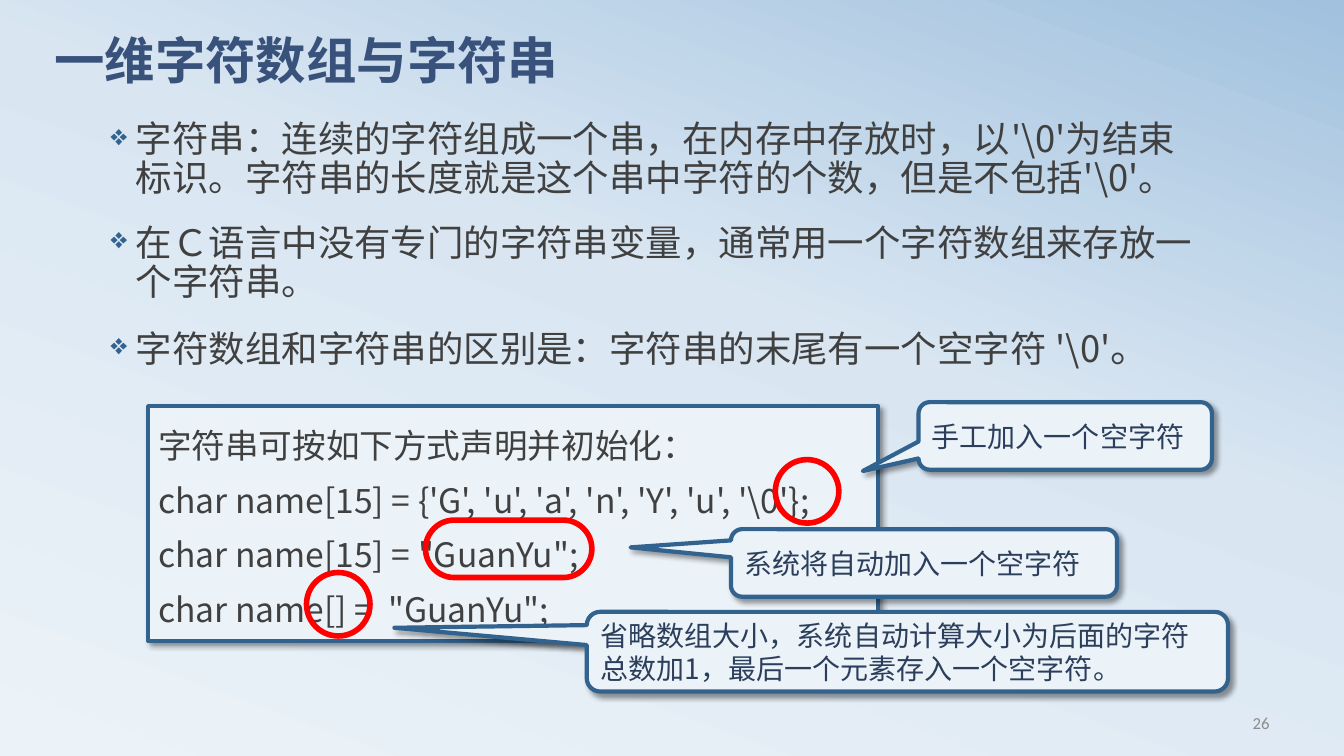
from lxml import etree
from pptx import Presentation
from pptx.dml.color import RGBColor
from pptx.enum.shapes import MSO_SHAPE
from pptx.enum.text import MSO_ANCHOR, PP_ALIGN
from pptx.oxml import parse_xml
from pptx.oxml.ns import nsdecls, qn
from pptx.util import Inches, Pt

RECTANGLE, OVAL = MSO_SHAPE.RECTANGLE, MSO_SHAPE.OVAL
ROUNDED, CALLOUT = MSO_SHAPE.ROUNDED_RECTANGLE, MSO_SHAPE.ROUNDED_RECTANGULAR_CALLOUT
TOP, MIDDLE = MSO_ANCHOR.TOP, MSO_ANCHOR.MIDDLE
LEFT, RIGHT = PP_ALIGN.LEFT, PP_ALIGN.RIGHT

THEME = {
    "title": {"size": 36, "color": "39527B", "font": "Calibri", "bold": True},
    "body": {"size": 26, "color": "404040", "font": "Noto Sans CJK SC"},
    "code": {"size": 24, "color": "404040", "font": "Noto Sans CJK SC"},
    "note": {"size": 20, "color": "2B3E5C", "font": "Noto Sans CJK SC"},
    "number": {"size": 12, "color": "8C8C8C", "font": "Calibri"},
    "east_asian": "Noto Sans CJK SC",
    "stop_size": 28,
    "panel": "ECF3F8", "border": "32628E", "border_width": 3,
    "mark": "FF0000", "mark_width": 4,
    "background": [(0, "ECF3F8"), (58, "D9E6F2"), (100, "A1C1DE")],
    "background_angle": 70,
}

# Content
TITLE = "一维字符数组与字符串"
PAGE_NUMBER = "26"
POINTS = [
    "字符串：连续的字符组成一个串，在内存中存放时，以'\\0'为结束标识。"
    "字符串的长度就是这个串中字符的个数，但是不包括'\\0'。",
    "在Ｃ语言中没有专门的字符串变量，通常用一个字符数组来存放一个字符串。",
    "字符数组和字符串的区别是：字符串的末尾有一个空字符 '\\0'",
]
FULL_STOP = "。"
CODE = [
    "字符串可按如下方式声明并初始化：",
    "char name[15] = {'G', 'u', 'a', 'n', 'Y', 'u', '\\0'};",
    'char name[15] = "GuanYu";',
    'char name[] =  "GuanYu";',
]
# Callouts: box, pointer tip as a share of the box, text
CALLOUTS = [
    ((9.11, 3.99, 2.91, 0.67), (-0.69, 0.52), "手工加入一个空字符"),
    ((7.25, 5.25, 3.83, 0.67), (-0.76, -0.23), "系统将自动加入一个空字符"),
    ((5.82, 6.07, 6.36, 0.79), (-0.8, -0.3),
     "省略数组大小，系统自动计算大小为后面的字符总数加1，最后一个元素存入一个空字符。"),
]
MARKS = [
    (OVAL, (7.69, 4.56, 0.63, 0.63)),
    (ROUNDED, (4.22, 5.16, 1.65, 0.57)),
    (OVAL, (3.04, 5.68, 0.63, 0.63)),
]


def style_run(run, style):
    run.font.size = Pt(style["size"])
    run.font.bold = style.get("bold", False)
    run.font.name = style["font"]
    run.font.color.rgb = RGBColor.from_string(style["color"])
    east_asian = etree.SubElement(run.font._element, qn("a:ea"))
    east_asian.set("typeface", THEME["east_asian"])


def write(shape, lines, style, anchor=TOP, align=LEFT, spacing=None):
    frame = shape.text_frame
    frame.text = "\n".join(lines)
    frame.word_wrap = True
    frame.vertical_anchor = anchor
    for paragraph in frame.paragraphs:
        paragraph.alignment = align
        paragraph.line_spacing = spacing
        for run in paragraph.runs:
            style_run(run, THEME[style])


def add_text(slide, box, *args, **options):
    shape = slide.shapes.add_textbox(*map(Inches, box))
    write(shape, *args, **options)
    return shape


def add_outline(slide, kind, box, color, width):
    shape = slide.shapes.add_shape(kind, *map(Inches, box))
    shape.shadow.inherit = False
    shape.fill.background()
    shape.line.color.rgb = RGBColor.from_string(color)
    shape.line.width = Pt(width)
    return shape


def add_panel(slide, kind, box):
    shape = add_outline(slide, kind, box, THEME["border"], THEME["border_width"])
    shape.fill.solid()
    shape.fill.fore_color.rgb = RGBColor.from_string(THEME["panel"])
    effects = shape._element.spPr.find(qn("a:effectLst"))
    effects.append(parse_xml(
        f'<a:outerShdw {nsdecls("a")} blurRad="{Pt(4)}" dist="{Pt(3)}" dir="2700000" '
        'algn="tl" rotWithShape="0"><a:srgbClr val="000000"><a:alpha val="40000"/>'
        '</a:srgbClr></a:outerShdw>'))
    return shape


def add_bullet(paragraph):
    paragraph.space_before = Pt(18)
    properties = paragraph._p.get_or_add_pPr()
    properties.set("marL", str(Inches(0.25)))
    properties.set("indent", str(-Inches(0.25)))
    for markup in (f'<a:buClr {nsdecls("a")}><a:srgbClr val="{THEME["border"]}"/></a:buClr>',
                   f'<a:buSzPct {nsdecls("a")} val="80000"/>',
                   f'<a:buChar {nsdecls("a")} char="❖"/>'):
        properties.append(parse_xml(markup))


presentation = Presentation()
presentation.slide_width = Inches(13.33)
presentation.slide_height = Inches(7.5)
slide = presentation.slides.add_slide(presentation.slide_layouts[6])

# Background gradient
background = slide.background.fill
background.gradient()
background.gradient_angle = THEME["background_angle"]
stops = slide.element.find(".//" + qn("a:gsLst"))
for stop in list(stops):
    stops.remove(stop)
for position, color in THEME["background"]:
    stops.append(parse_xml(f'<a:gs {nsdecls("a")} pos="{position * 1000}">'
                           f'<a:srgbClr val="{color}"/></a:gs>'))

# Page number, title and bullet points
add_text(slide, (9.58, 6.97, 3.11, 0.4), [PAGE_NUMBER], "number", anchor=MIDDLE, align=RIGHT)
add_text(slide, (0.44, 0.36, 12, 0.94), [TITLE], "title", spacing=0.8)
body = add_text(slide, (1, 1.15, 11.1, 2.83), POINTS, "body", spacing=0.9)
for paragraph in body.text_frame.paragraphs:
    add_bullet(paragraph)
stop_run = body.text_frame.paragraphs[-1].add_run()
stop_run.text = FULL_STOP
style_run(stop_run, {**THEME["body"], "size": THEME["stop_size"]})

# Code panel
write(add_panel(slide, RECTANGLE, (1.47, 4.03, 7.24, 2.33)), CODE, "code", spacing=1.35)

# Callouts
for box, tip, text in CALLOUTS:
    callout = add_panel(slide, CALLOUT, box)
    callout.adjustments[0], callout.adjustments[1] = tip
    write(callout, [text], "note", anchor=MIDDLE)

# Red marks around the code details
for kind, box in MARKS:
    mark = add_outline(slide, kind, box, THEME["mark"], THEME["mark_width"])
    if kind == ROUNDED:
        mark.adjustments[0] = 0.5

presentation.save("out.pptx")
